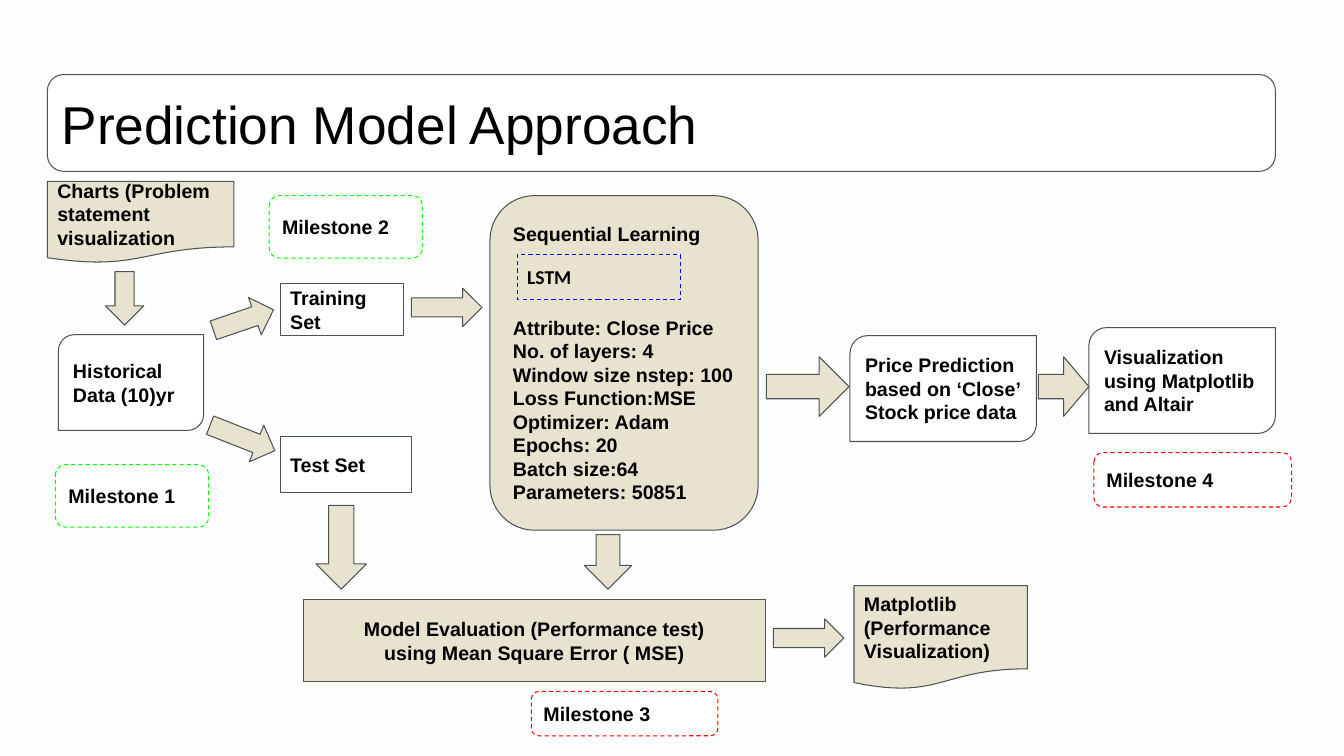
from pptx import Presentation
from pptx.dml.color import RGBColor
from pptx.enum.dml import MSO_LINE
from pptx.enum.shapes import MSO_SHAPE
from pptx.enum.text import MSO_ANCHOR, PP_ALIGN
from pptx.util import Inches, Pt

RECT = MSO_SHAPE.RECTANGLE
ROUND = MSO_SHAPE.ROUNDED_RECTANGLE
DIAGONAL = MSO_SHAPE.ROUND_2_DIAG_RECTANGLE
DOCUMENT = MSO_SHAPE.FLOWCHART_DOCUMENT
ARROW = MSO_SHAPE.RIGHT_ARROW
DASH = MSO_LINE.DASH
TOP, MIDDLE = MSO_ANCHOR.TOP, MSO_ANCHOR.MIDDLE
LEFT, CENTER = PP_ALIGN.LEFT, PP_ALIGN.CENTER

COLORS = {
    "background": "FEFEFE", "white": "FFFFFF", "sand": "E8E3CE",
    "outline": "4A5356", "text": "000000",
    "green": "00FF00", "red": "FF0000", "blue": "0000FF",
}
CELL = 0.1  # grid pitch in inches
TITLE_FRAME = (4.7, 7.4, 121.8, 9.6)

# frame in cells (left, top, width, height), rotation, shaft share of the height
ARROWS = [
    ((20.6, 41.5, 6.9, 3.9), 21.5, 0.5),
    ((21, 29.8, 6.3, 3.9), 341.2, 0.5),
    ((40.8, 28.6, 7, 3.8), 0, 0.5),
    ((29.7, 51.8, 8.3, 5), 90, 0.5),
    ((57.6, 53.4, 5.4, 4.7), 90, 0.5),
    ((9.7, 27.7, 5.3, 3.8), 90, 0.5),
    ((76.7, 61.4, 7, 3.8), 0, 0.5),
    ((76, 35.4, 8.2, 5.9), 0, 0.41),
    ((103, 35.4, 5, 5.9), 0, 0.41),
]
STEPS = [
    (DIAGONAL, (5.8, 33.2, 14.4, 9.5), "white", "Historical Data (10)yr"),
    (RECT, (27.8, 28.1, 12.2, 5.2), "white", "Training Set"),
    (RECT, (27.8, 43.3, 13, 5.6), "white", "Test Set"),
    (DOCUMENT, (4.7, 18, 18.5, 8.1), "sand",
     "Charts (Problem statement visualization"),
    (DOCUMENT, (84.7, 58.1, 17.2, 10.3), "sand",
     "Matplotlib (Performance Visualization)"),
    (DIAGONAL, (84.3, 33.3, 18.5, 10.5), "white",
     "Price Prediction based on ‘Close’ Stock price data"),
    (DIAGONAL, (108, 32.5, 18.5, 10.5), "white",
     "Visualization using Matplotlib and Altair"),
]
MILESTONES = [
    ((5.5, 46.1, 15.2, 6.2), "green"),
    ((26.7, 19.4, 15.2, 6.2), "green"),
    ((52.7, 68.6, 18.5, 4.4), "red"),
    ((108.5, 44.9, 19.6, 5.4), "red"),
]
MODEL_LINES = [
    "Sequential Learning",
    "Attribute: Close Price",
    "No. of layers: 4",
    "Window size nstep: 100",
    "Loss Function:MSE",
    "Optimizer: Adam",
    "Epochs: 20",
    "Batch size:64",
    "Parameters: 50851",
]
EVALUATION_LINES = [
    "Model Evaluation (Performance test)",
    "using Mean Square Error ( MSE)",
]


def rgb(name):
    return RGBColor.from_string(COLORS[name])


def cells(frame):
    return [Inches(n * CELL) for n in frame]


def add_box(s, kind, frame, fill="sand", line="outline", dash=None):
    sp = s.shapes.add_shape(kind, *cells(frame))
    sp.shadow.inherit = False
    if fill:
        sp.fill.solid()
        sp.fill.fore_color.rgb = rgb(fill)
    else:
        sp.fill.background()
    sp.line.color.rgb = rgb(line)
    sp.line.width = Pt(0.75)
    if dash:
        sp.line.dash_style = dash
    return sp


def write(sp, lines, size=14, bold=True, font="Arial", align=LEFT,
          anchor=MIDDLE):
    tf = sp.text_frame
    tf.word_wrap = True
    tf.vertical_anchor = anchor
    tf.margin_left = tf.margin_right = Inches(0.1)
    tf.margin_top = tf.margin_bottom = Inches(0.1)
    tf.text = "\n".join(lines)
    for p in tf.paragraphs:
        p.alignment = align
        p.line_spacing = 1.0
        p.font.name, p.font.size, p.font.bold = font, Pt(size), bold
        p.font.color.rgb = rgb("text")


def add_title(s, text):
    """Place the title placeholder in front of its rounded frame."""
    title = s.shapes.title
    title.left, title.top, title.width, title.height = cells(TITLE_FRAME)
    write(title, [text], size=38, bold=False)
    title.text_frame.margin_left = Inches(0.14)
    frame = add_box(s, ROUND, TITLE_FRAME, "white")
    title.element.addprevious(frame.element)


def add_arrow(s, frame, rotation, shaft):
    sp = add_box(s, ARROW, frame)
    sp.adjustments[0] = shaft
    sp.rotation = rotation


def add_model(s):
    sp = add_box(s, ROUND, (48.6, 19.4, 26.6, 33.2))
    write(sp, MODEL_LINES)
    # room for the LSTM box below the heading
    sp.text_frame.paragraphs[1].space_before = Pt(50)
    lstm = add_box(s, RECT, (51.3, 25.3, 16.2, 4.4), None, "blue", DASH)
    write(lstm, ["LSTM"], font="Calibri", anchor=TOP)


def main():
    prs = Presentation()
    prs.slide_width, prs.slide_height = Inches(13.33), Inches(7.5)
    s = prs.slides.add_slide(prs.slide_layouts[5])
    s.background.fill.solid()
    s.background.fill.fore_color.rgb = rgb("background")

    add_title(s, "Prediction Model Approach")
    for arrow in ARROWS:
        add_arrow(s, *arrow)
    for kind, frame, fill, text in STEPS:
        write(add_box(s, kind, frame, fill), [text])
    add_model(s)
    evaluation = add_box(s, RECT, (30.1, 59.5, 45.8, 8.1))
    write(evaluation, EVALUATION_LINES, align=CENTER)
    for number, (frame, color) in enumerate(MILESTONES, 1):
        sp = add_box(s, ROUND, frame, "white", color, DASH)
        write(sp, [f"Milestone {number}"])
    prs.save("out.pptx")


if __name__ == "__main__":
    main()
